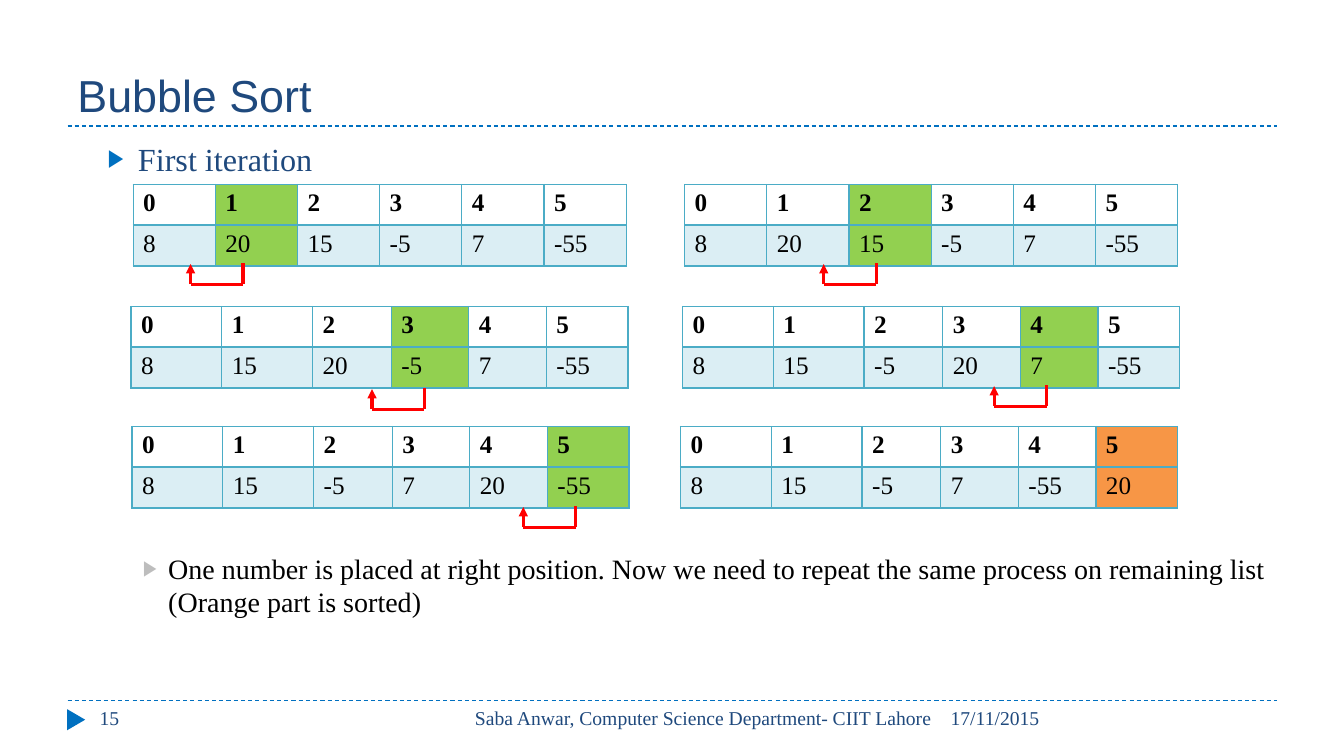
from dataclasses import dataclass

from lxml.etree import SubElement
from pptx import Presentation
from pptx.dml.color import RGBColor
from pptx.enum.dml import MSO_LINE
from pptx.enum.shapes import MSO_CONNECTOR, MSO_SHAPE
from pptx.enum.text import MSO_ANCHOR, PP_ALIGN
from pptx.oxml.ns import qn
from pptx.util import Inches, Pt


@dataclass(frozen=True)
class Theme:
    heading_font: str = "Arial"
    body_font: str = "Times New Roman"
    navy: str = "1F497D"
    blue: str = "0070C0"
    gray: str = "BDBDBD"
    black: str = "000000"
    teal: str = "4BACC6"
    pale_teal: str = "DBEEF4"
    green: str = "92D050"
    orange: str = "F79646"
    red: str = "FF0000"
    title_size: float = 32
    topic_size: float = 23
    note_size: float = 20
    cell_size: float = 18
    footer_size: float = 14


class SlideBuilder:
    def __init__(self, slide, theme):
        self.slide = slide
        self.theme = theme

    def style_font(self, font, size, color, name=None, bold=False):
        font.size = Pt(size)
        font.name = name or self.theme.body_font
        font.bold = bold
        font.color.rgb = RGBColor.from_string(color)

    def text(self, words, left, top, width, height, size, color, name=None,
             align=PP_ALIGN.LEFT, anchor=MSO_ANCHOR.TOP):
        box = self.slide.shapes.add_textbox(
            Inches(left), Inches(top), Inches(width), Inches(height))
        frame = box.text_frame
        frame.word_wrap = True
        frame.vertical_anchor = anchor
        frame.text = words
        paragraph = frame.paragraphs[0]
        paragraph.alignment = align
        self.style_font(paragraph.runs[0].font, size, color, name)
        return paragraph

    def bullet(self, words, top, height, size, color, bullet_color, margin, hanging):
        paragraph = self.text(words, 0.67, top, 12, height, size, color)
        properties = paragraph._p.get_or_add_pPr()
        properties.set("marL", str(Inches(margin)))
        properties.set("indent", str(-Inches(hanging)))
        fill = SubElement(properties, qn("a:buClr"))
        SubElement(fill, qn("a:srgbClr"), val=bullet_color)
        SubElement(properties, qn("a:buSzPct"), val="76000")
        SubElement(properties, qn("a:buFont"), typeface=self.theme.heading_font)
        SubElement(properties, qn("a:buChar"), char="▶")

    def line(self, start, end, color, width, dashed=False, arrow=False):
        connector = self.slide.shapes.add_connector(
            MSO_CONNECTOR.STRAIGHT, *(Inches(value) for value in (*start, *end)))
        connector.line.color.rgb = RGBColor.from_string(color)
        connector.line.width = Pt(width)
        if dashed:
            connector.line.dash_style = MSO_LINE.DASH
        if arrow:
            SubElement(connector.line._get_or_add_ln(), qn("a:tailEnd"), type="triangle")
        SubElement(connector._element.spPr, qn("a:effectLst"))

    def triangle(self, left, top, width, height, color):
        shape = self.slide.shapes.add_shape(
            MSO_SHAPE.ISOSCELES_TRIANGLE,
            Inches(left), Inches(top), Inches(width), Inches(height))
        shape.rotation = 90
        shape.shadow.inherit = False
        shape.fill.solid()
        shape.fill.fore_color.rgb = RGBColor.from_string(color)
        shape.line.fill.background()

    def cell_borders(self, cell, bottom_width):
        properties = cell._tc.get_or_add_tcPr()
        for side, width in (("L", 1), ("R", 1), ("T", 1), ("B", bottom_width)):
            border = SubElement(properties, qn(f"a:ln{side}"), w=str(Pt(width)))
            fill = SubElement(border, qn("a:solidFill"))
            SubElement(fill, qn("a:srgbClr"), val=self.theme.teal)

    def array(self, left, top, columns, values, marked, mark_color):
        row_height = 0.405
        frame = self.slide.shapes.add_table(
            2, len(values), Inches(left), Inches(top),
            Inches(sum(columns)), Inches(2 * row_height))
        table = frame.table
        table.first_row = table.horz_banding = False
        for column, width in zip(table.columns, columns):
            column.width = Inches(width)
        for row_index, entries in enumerate((range(len(values)), values)):
            header = row_index == 0
            table.rows[row_index].height = Inches(row_height)
            for index, entry in enumerate(entries):
                cell = table.cell(row_index, index)
                cell.text = str(entry)
                self.style_font(cell.text_frame.paragraphs[0].runs[0].font,
                                self.theme.cell_size, self.theme.black, bold=header)
                self.cell_borders(cell, 2 if header else 1)
                if header and index != marked:
                    cell.fill.background()
                else:
                    cell.fill.solid()
                    cell.fill.fore_color.rgb = RGBColor.from_string(
                        mark_color if index == marked else self.theme.pale_teal)

    def swap_arrow(self, left, top):
        right, bottom = left + 0.52, top + 0.21
        color = self.theme.red
        self.line((left, bottom), (right, bottom), color, 2.25)
        self.line((right, bottom), (right, top), color, 2.25)
        self.line((left, bottom), (left, top + 0.01), color, 2.25, arrow=True)


EVEN_COLUMNS = [0.815] * 6
WIDE_COLUMNS = [0.9, 0.9, 0.78, 0.77, 0.77, 0.81]
STEPS = [
    (1.32, 1.83, EVEN_COLUMNS, (1.89, 2.61)),
    (6.79, 1.83, EVEN_COLUMNS, (8.17, 2.61)),
    (1.3, 3.04, WIDE_COLUMNS, (3.69, 3.85)),
    (6.77, 3.04, WIDE_COLUMNS, (9.86, 3.82)),
    (1.31, 4.23, WIDE_COLUMNS, (5.19, 5.02)),
]


def main():
    presentation = Presentation()
    presentation.slide_width = Inches(13.33)
    presentation.slide_height = Inches(7.5)
    theme = Theme()
    builder = SlideBuilder(
        presentation.slides.add_slide(presentation.slide_layouts[6]), theme)

    for rule_top in (6.95, 1.25):
        builder.line((0.67, rule_top), (12.67, rule_top), theme.blue, 0.75, dashed=True)
    builder.triangle(0.65, 7.05, 0.21, 0.18, theme.blue)
    builder.text("Bubble Sort", 0.67, 0.17, 12, 1.08, theme.title_size, theme.navy,
                 theme.heading_font, anchor=MSO_ANCHOR.BOTTOM)
    for words, left, width, align in (
        ("17/11/2015", 9.33, 3.34, PP_ALIGN.LEFT),
        ("Saba Anwar, Computer Science Department- CIIT Lahore", 4.23, 5.11, PP_ALIGN.RIGHT),
        ("15", 0.89, 2.89, PP_ALIGN.LEFT),
    ):
        builder.text(words, left, 6.95, width, 0.4, theme.footer_size, theme.navy, align=align)

    builder.bullet("First iteration", 1.33, 0.48, theme.topic_size, theme.navy,
                   theme.blue, 0.6, 0.3)
    builder.bullet("One number is placed at right position. Now we need to repeat the same "
                   "process on remaining list (Orange part is sorted)", 5.42, 0.8,
                   theme.note_size, theme.black, theme.gray, 0.9, 0.25)

    values = [8, 20, 15, -5, 7, -55]
    for current, (left, top, columns, arrow) in enumerate(STEPS, start=1):
        builder.array(left, top, columns, values, current, theme.green)
        builder.swap_arrow(*arrow)
        values[current - 1:current + 1] = sorted(values[current - 1:current + 1])
    builder.array(6.75, 4.23, WIDE_COLUMNS, values, len(values) - 1, theme.orange)

    presentation.save("out.pptx")


if __name__ == "__main__":
    main()
